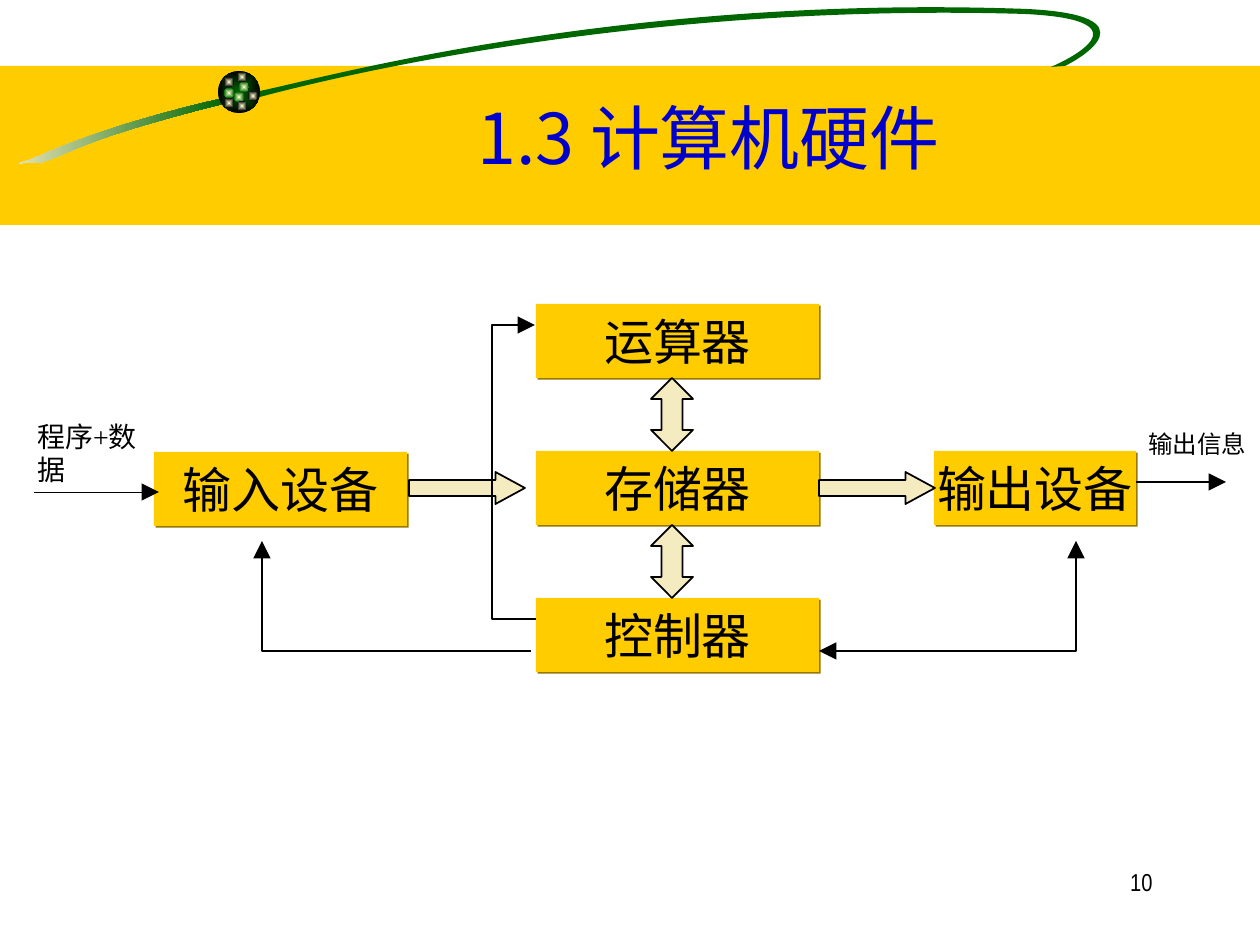
"""Build the slide on computer hardware with python-pptx."""
from lxml.etree import SubElement
from pptx import Presentation
from pptx.dml.color import RGBColor
from pptx.enum.shapes import MSO_CONNECTOR, MSO_SHAPE
from pptx.enum.text import MSO_ANCHOR, PP_ALIGN
from pptx.oxml.ns import qn
from pptx.util import Pt

PX = 914400 / 126
GOLD = RGBColor(0xFF, 0xCC, 0x00)
GREEN = RGBColor(0x00, 0x66, 0x00)
CREAM = RGBColor(0xF5, 0xEB, 0xC1)
PALE = RGBColor(0xFF, 0xFF, 0xCC)
BLUE = RGBColor(0x00, 0x00, 0xCC)
BLACK = RGBColor(0x00, 0x00, 0x00)
SHADOW = RGBColor(0x98, 0x79, 0x00)


def px(*lengths):
    return [round(length * PX) for length in lengths]


def write(shape, text, size, font="Times New Roman", color=BLACK, align=PP_ALIGN.LEFT):
    para = shape.text_frame.paragraphs[0]
    para.alignment = align
    span = para.add_run()
    span.text = text
    span.font.size = Pt(size)
    span.font.name = font
    span.font.color.rgb = color


deck = Presentation()
deck.slide_width, deck.slide_height = px(1260, 945)
page = deck.slides.add_slide(deck.slide_layouts[6])
shapes = page.shapes

band = shapes.add_shape(MSO_SHAPE.RECTANGLE, *px(0, 66, 1260, 159))
band.shadow.inherit = False
band.fill.solid()
band.fill.fore_color.rgb = GOLD
band.line.fill.background()

tail_curve = [(224, 98), (115, 123), (62, 146), (32, 159), (1, 169), (33, 159), (39, 163),
              (72, 154), (72, 142), (226, 103)]
loop_curve = [(255, 92), (310, 82), (612, -6), (1026, 9), (1155, 15), (1080, 59), (1065, 66),
              (1065, 66), (1051, 67), (1051, 67), (1063, 62), (1154, 20), (1024, 14),
              (690, 4), (403, 59), (260, 97)]
for curve, start_color in ((tail_curve, CREAM), (loop_curve, GREEN)):
    builder = shapes.build_freeform(*px(*curve[0]))
    builder.add_line_segments([px(*point) for point in curve[1:]], close=True)
    swoosh = builder.convert_to_shape()
    segments = list(swoosh.element.spPr.iter(qn("a:lnTo")))
    for first in range(0, len(curve) - 1, 3):
        bezier = SubElement(segments[first].getparent(), qn("a:cubicBezTo"))
        segments[first].addprevious(bezier)
        for segment in segments[first:first + 3]:
            bezier.append(segment[0])
            segment.getparent().remove(segment)
    swoosh.shadow.inherit = False
    swoosh.line.fill.background()
    if start_color == GREEN:
        swoosh.fill.solid()
        swoosh.fill.fore_color.rgb = GREEN
    else:
        swoosh.fill.gradient()
        swoosh.fill.gradient_angle = 0
        for stop, color in zip(swoosh.fill.gradient_stops, (start_color, GREEN)):
            stop.color.rgb = color

balls = [
    (218, 71, 42, GREEN, BLACK),
    (239, 82, 10, PALE, GREEN),
    (224, 77, 10, PALE, BLACK),
    (224, 88, 10, PALE, GREEN),
    (234, 92, 10, PALE, GREEN),
    (248, 91, 10, PALE, BLACK),
    (237, 101, 10, PALE, BLACK),
    (224, 98, 10, PALE, BLACK),
    (237, 72, 10, PALE, BLACK),
]
for left, top, size, inner, outer in balls:
    ball = shapes.add_shape(MSO_SHAPE.OVAL, *px(left, top, size, size))
    ball.shadow.inherit = False
    ball.line.fill.background()
    ball.fill.gradient()
    for stop, color in zip(ball.fill.gradient_stops, (inner, outer)):
        stop.color.rgb = color
    gradient = ball.element.spPr.find(qn("a:gradFill"))
    gradient.remove(gradient.find(qn("a:lin")))
    spread = SubElement(gradient, qn("a:path"), {"path": "rect"})
    SubElement(spread, qn("a:fillToRect"), {side: "50000" for side in "ltrb"})

title = shapes.add_textbox(*px(105, 95, 1207, 84))
title.text_frame.word_wrap = True
title.text_frame.vertical_anchor = MSO_ANCHOR.MIDDLE
write(title, "1.3 计算机硬件", 40, "Noto Sans CJK SC", BLUE, PP_ALIGN.CENTER)

units = [
    ("运算器", 536, 304, 283),
    ("存储器", 536, 451, 283),
    ("控制器", 536, 598, 283),
    ("输出设备", 934, 451, 202),
    ("输入设备", 154, 452, 253),
]
for name, left, top, width in units:
    box = shapes.add_shape(MSO_SHAPE.RECTANGLE, *px(left, top, width, 74))
    box.fill.solid()
    box.fill.fore_color.rgb = GOLD
    box.line.fill.background()
    box.shadow.inherit = False
    effects = box.element.spPr.find(qn("a:effectLst"))
    shade = SubElement(effects, qn("a:outerShdw"), {"dist": "17780", "dir": "2700000"})
    SubElement(shade, qn("a:srgbClr"), {"val": str(SHADOW)})
    box.text_frame.word_wrap = False
    box.text_frame.vertical_anchor = MSO_ANCHOR.MIDDLE
    write(box, name, 28, align=PP_ALIGN.CENTER)

block_arrows = [
    (MSO_SHAPE.RIGHT_ARROW, 409, 472, 116, 32, (0.5, 0.92)),
    (MSO_SHAPE.RIGHT_ARROW, 819, 472, 116, 32, (0.5, 0.92)),
    (MSO_SHAPE.UP_DOWN_ARROW, 651, 378, 42, 73, (0.35, 0.5)),
    (MSO_SHAPE.UP_DOWN_ARROW, 651, 525, 42, 73, (0.35, 0.5)),
]
for kind, left, top, width, height, proportions in block_arrows:
    arrow = shapes.add_shape(kind, *px(left, top, width, height))
    arrow.shadow.inherit = False
    for index, proportion in enumerate(proportions):
        arrow.adjustments[index] = proportion
    arrow.fill.solid()
    arrow.fill.fore_color.rgb = CREAM
    arrow.line.color.rgb = BLACK
    arrow.line.width = Pt(1)

signals = [
    ("bentConnector2", (531, 651, 262, 541), 1, ["tailEnd"]),
    ("bentConnector2", (819, 651, 1076, 541), 1, ["headEnd", "tailEnd"]),
    ("bentConnector3", (536, 619, 535, 325), 1, ["tailEnd"]),
    ("line", (34, 492, 159, 492), 0.5, ["tailEnd"]),
    ("line", (1136, 482, 1226, 482), 1, ["tailEnd"]),
]
for preset, ends, weight, arrowheads in signals:
    kind = MSO_CONNECTOR.STRAIGHT if preset == "line" else MSO_CONNECTOR.ELBOW
    signal = shapes.add_connector(kind, *px(*ends))
    signal.line.color.rgb = BLACK
    signal.line.width = Pt(weight)
    properties = signal.element.spPr
    geometry = properties.find(qn("a:prstGeom"))
    geometry.set("prst", preset)
    if preset == "bentConnector3":
        guides = geometry.find(qn("a:avLst"))
        SubElement(guides, qn("a:gd"), {"name": "adj1", "fmla": "val 4400000"})
    for arrowhead in arrowheads:
        SubElement(properties.find(qn("a:ln")), qn(f"a:{arrowhead}"),
                   {"type": "triangle", "w": "lg", "len": "lg"})
    SubElement(properties, qn("a:effectLst"))

labels = [
    ("程序+数据", (25, 413, 149, 81), 16, "Times New Roman", PP_ALIGN.LEFT),
    ("输出信息", (1136, 423, 169, 43), 14, "Times New Roman", PP_ALIGN.LEFT),
    ("10", (903, 861, 262, 63), 14, "Arial Narrow", PP_ALIGN.RIGHT),
]
for text, place, size, font, align in labels:
    label = shapes.add_textbox(*px(*place))
    label.text_frame.word_wrap = True
    write(label, text, size, font, align=align)

deck.save("out.pptx")
